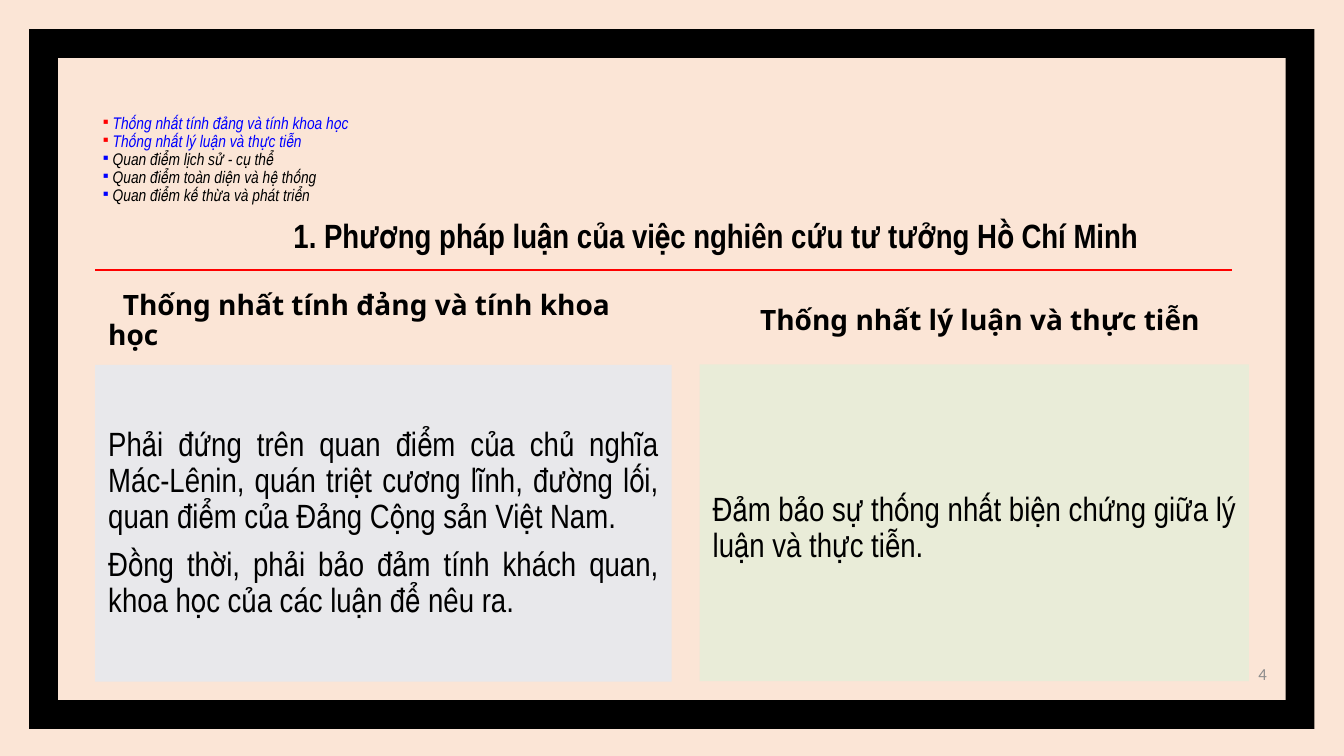
from lxml.etree import SubElement
from pptx import Presentation
from pptx.dml.color import RGBColor
from pptx.enum.shapes import MSO_CONNECTOR, MSO_SHAPE
from pptx.enum.text import MSO_ANCHOR, MSO_AUTO_SIZE, PP_ALIGN
from pptx.oxml.ns import qn
from pptx.util import Pt

COLORS = {
    "background": "FBE5D6",
    "black": "000000",
    "red": "FF0000",
    "blue": "0000FF",
    "gray": "8C8C8C",
    "left_panel": "DEEBF7",
    "right_panel": "E2F0D9",
}
NARROW = "Arial Narrow"
INSET = 9.4
PRINCIPLES = [
    ("Thống nhất tính đảng và tính khoa học", "red", "blue"),
    ("Thống nhất lý luận và thực tiễn", "red", "blue"),
    ("Quan điểm lịch sử - cụ thể", "blue", "black"),
    ("Quan điểm toàn diện và hệ thống", "blue", "black"),
    ("Quan điểm kế thừa và phát triển", "blue", "black"),
]


def rgb(name):
    return RGBColor.from_string(COLORS[name])


def prepare_frame(shape, anchor=MSO_ANCHOR.MIDDLE, top_inset=INSET):
    frame = shape.text_frame
    frame.word_wrap = True
    frame.auto_size = MSO_AUTO_SIZE.NONE
    frame.vertical_anchor = anchor
    frame.margin_left = frame.margin_right = frame.margin_bottom = Pt(INSET)
    frame.margin_top = Pt(top_inset)
    return frame


def next_paragraph(frame, index, align=PP_ALIGN.LEFT, space=0):
    paragraph = frame.paragraphs[0] if index == 0 else frame.add_paragraph()
    paragraph.alignment = align
    paragraph.line_spacing = 0.9
    paragraph.space_before = Pt(space if index else 0)
    return paragraph


def add_run(paragraph, text, size, font=NARROW, color="black", bold=False, italic=False):
    run = paragraph.add_run()
    run.text = text
    run.font.size = Pt(size)
    run.font.name = font
    run.font.bold = bold
    run.font.italic = italic
    run.font.color.rgb = rgb(color)


def add_block(slide, box, preset, color):
    shape = slide.shapes.add_shape(preset, *map(Pt, box))
    shape.shadow.inherit = False
    shape.fill.solid()
    shape.fill.fore_color.rgb = rgb(color)
    shape.line.fill.background()
    return shape


def add_border(slide, box):
    border = add_block(slide, box, MSO_SHAPE.FRAME, "black")
    border.adjustments[0] = 0.041


def add_title(slide, box, text):
    title = slide.shapes.title
    title.left, title.top, title.width, title.height = map(Pt, box)
    title.fill.solid()
    title.fill.fore_color.rgb = rgb("background")
    paragraph = next_paragraph(prepare_frame(title), 0)
    add_run(paragraph, text, 24, bold=True)


def add_rule(slide, box):
    left, top, width, height = box
    rule = slide.shapes.add_connector(
        MSO_CONNECTOR.STRAIGHT, Pt(left), Pt(top), Pt(left + width), Pt(top + height))
    rule.line.color.rgb = rgb("red")
    rule.line.width = Pt(1.5)
    SubElement(rule._element.spPr, qn("a:effectLst"))


def add_principles(slide, box):
    frame = prepare_frame(slide.shapes.add_textbox(*map(Pt, box)), MSO_ANCHOR.BOTTOM)
    for index, (text, bullet_color, text_color) in enumerate(PRINCIPLES):
        paragraph = next_paragraph(frame, index)
        properties = paragraph._p.get_or_add_pPr()
        properties.set("marL", str(Pt(7)))
        properties.set("indent", str(-Pt(7)))
        bullet = SubElement(properties, qn("a:buClr"))
        SubElement(bullet, qn("a:srgbClr"), val=COLORS[bullet_color])
        SubElement(properties, qn("a:buFont"), typeface=NARROW)
        SubElement(properties, qn("a:buChar"), char="▪")
        add_run(paragraph, text, 12, color=text_color, italic=True)


def add_heading(slide, box, text, indent=0):
    heading = add_block(slide, box, MSO_SHAPE.RECTANGLE, "background")
    paragraph = next_paragraph(prepare_frame(heading), 0)
    paragraph._p.get_or_add_pPr().set("indent", str(Pt(indent)))
    add_run(paragraph, text, 20, font="Noto Sans", bold=True)


def add_panel(slide, box, color, opacity, texts, top_inset=INSET):
    panel = add_block(slide, box, MSO_SHAPE.RECTANGLE, color)
    fill_color = panel._element.spPr.find(qn("a:solidFill"))[0]
    SubElement(fill_color, qn("a:alpha"), val=str(opacity * 1000))
    frame = prepare_frame(panel, top_inset=top_inset)
    for index, text in enumerate(texts):
        paragraph = next_paragraph(frame, index, PP_ALIGN.JUSTIFY, 8)
        add_run(paragraph, text, 24)


def add_page_number(slide, box, number):
    frame = prepare_frame(slide.shapes.add_textbox(*map(Pt, box)))
    paragraph = next_paragraph(frame, 0, PP_ALIGN.RIGHT)
    add_run(paragraph, number, 12, font="Calibri", color="gray")


def build_methodology_slide(presentation):
    slide = presentation.slides.add_slide(presentation.slide_layouts[5])
    slide.background.fill.solid()
    slide.background.fill.fore_color.rgb = rgb("background")
    add_border(slide, (20.9, 20.9, 918, 499.7))
    add_page_number(slide, (856.8, 461.5, 57.6, 41), "4")
    add_panel(slide, (67.9, 260.6, 411.8, 226.4), "left_panel", 64, [
        "Phải đứng trên quan điểm của chủ nghĩa Mác-Lênin, quán triệt cương lĩnh, "
        "đường lối, quan điểm của Đảng Cộng sản Việt Nam.",
        "Đồng thời, phải bảo đảm tính khách quan, khoa học của các luận để nêu ra.",
    ])
    add_panel(slide, (499.7, 260.2, 392.4, 226.4), "right_panel", 70, [
        "Đảm bảo sự thống nhất biện chứng giữa lý luận và thực tiễn.",
    ], top_inset=INSET + 8)
    add_rule(slide, (67.9, 193, 812, 0))
    add_principles(slide, (64.1, 61.9, 535, 94.3))
    add_heading(slide, (67.9, 207.4, 411.8, 43.9),
                "Thống nhất tính đảng và tính khoa học", indent=10.4)
    add_title(slide, (200.2, 147.6, 691.9, 43.9),
              "1. Phương pháp luận của việc nghiên cứu tư tưởng Hồ Chí Minh")
    add_heading(slide, (533.5, 207.4, 380.9, 43.9), "Thống nhất lý luận và thực tiễn")


def main():
    presentation = Presentation()
    presentation.slide_width = Pt(960)
    presentation.slide_height = Pt(540)
    build_methodology_slide(presentation)
    presentation.save("out.pptx")


if __name__ == "__main__":
    main()
